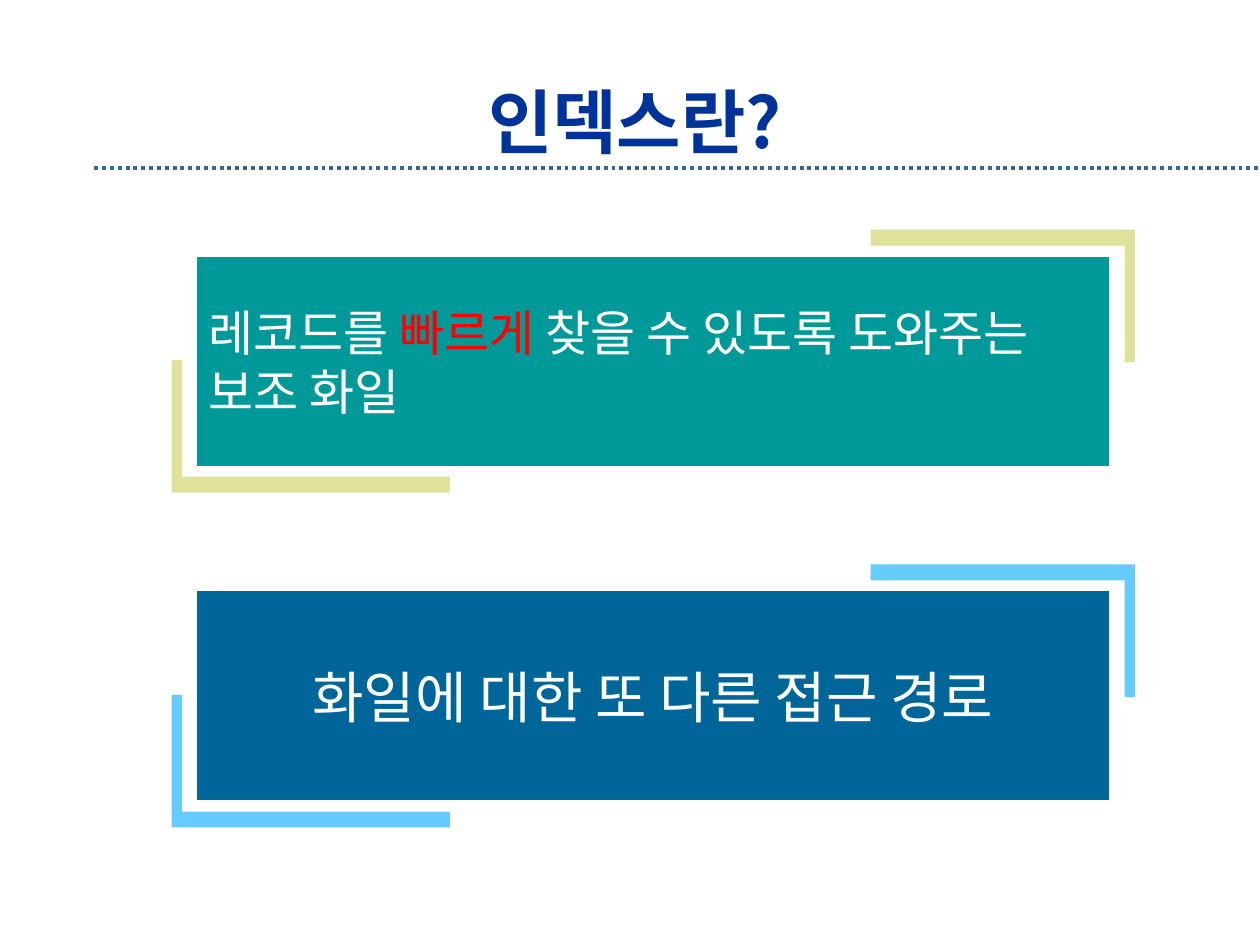
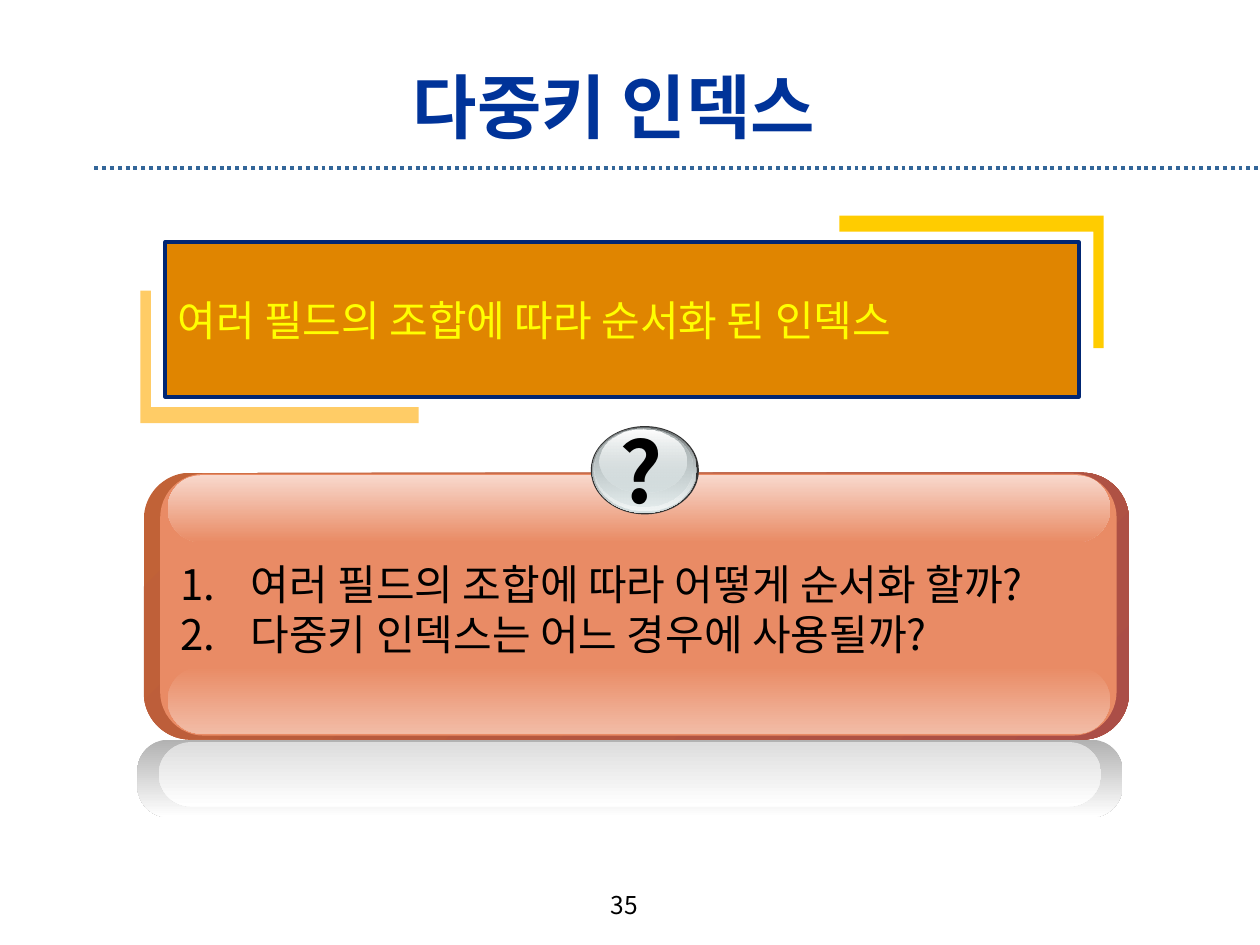
from lxml.etree import SubElement
from pptx import Presentation
from pptx.dml.color import RGBColor
from pptx.enum.dml import MSO_LINE
from pptx.enum.shapes import MSO_CONNECTOR, MSO_SHAPE as Preset
from pptx.enum.text import MSO_ANCHOR as Anchor, MSO_AUTO_SIZE as AutoSize, PP_ALIGN as Align
from pptx.oxml.ns import qn
from pptx.util import Cm, Pt

FONT = "Noto Sans CJK KR"
TITLE_COLOR = "003399"
RULE_COLOR = "336699"
WHITE = "FFFFFF"
BLACK = "000000"
BOX_WIDTH = 18.42
GAP_X, GAP_Y = 0.5, 0.53
BRACKET_HEIGHT = 2.67
BAR_X, BAR_Y = 0.21, 0.32
LOWER_WIDTH, UPPER_WIDTH = 5.61, 5.33
GLOSS_WIDTH = 19
LIST_INDENT = 1.42


def color(code):
    return RGBColor.from_string(code)


def add_run(para, text, size, code, bold=False):
    span = para.add_run()
    span.text = text
    span.font.name = FONT
    span.font.size = Pt(size)
    span.font.bold = bold
    span.font.color.rgb = color(code)
    SubElement(span._r.get_or_add_rPr(), qn("a:ea"), typeface=FONT)


def place(shape, left, top, width, height):
    shape.left, shape.top = Cm(left), Cm(top)
    shape.width, shape.height = Cm(width), Cm(height)


def add_title(page, text, at):
    title = page.shapes.title
    place(title, *at)
    frame = title.text_frame
    frame.auto_size = AutoSize.NONE
    frame.vertical_anchor = Anchor.MIDDLE
    para = frame.paragraphs[0]
    para.alignment = Align.CENTER
    add_run(para, text, 40, TITLE_COLOR, True)


def add_rule(page):
    rule = page.shapes.add_connector(
        MSO_CONNECTOR.STRAIGHT, Cm(1.9), Cm(3.38), Cm(25.4), Cm(3.38))
    rule.line.color.rgb = color(RULE_COLOR)
    rule.line.width = Pt(2.25)
    rule.line.dash_style = MSO_LINE.ROUND_DOT
    SubElement(rule.element.spPr, qn("a:effectLst"))


def start_page(deck, layout, title, title_at):
    page = deck.slides.add_slide(deck.slide_layouts[layout])
    add_rule(page)
    add_title(page, title, title_at)
    return page


def add_solid(page, preset, at, fill, adjust=None):
    shape = page.shapes.add_shape(preset, *map(Cm, at))
    shape.shadow.inherit = False
    shape.line.fill.background()
    shape.fill.solid()
    shape.fill.fore_color.rgb = color(fill)
    if adjust is not None:
        shape.adjustments[0] = adjust
    return shape


def add_gradient(page, preset, at, stops, adjust=None, angle=90, alphas=(100, 100)):
    shape = add_solid(page, preset, at, stops[0], adjust)
    shape.fill.gradient()
    shape.fill.gradient_angle = 360 - angle
    for stop, code in zip(shape.fill.gradient_stops, stops):
        stop.color.rgb = color(code)
    for mark, alpha in zip(shape.element.iter(qn("a:gs")), alphas):
        if alpha < 100:
            SubElement(mark[0], qn("a:alpha"), val=str(alpha * 1000))


def add_bracket(page, x, y, width, side, fill):
    steps = [(width, 0), (width, BAR_Y), (BAR_X, BAR_Y),
             (BAR_X, BRACKET_HEIGHT), (0, BRACKET_HEIGHT)]
    builder = page.shapes.build_freeform(Cm(x), Cm(y))
    builder.add_line_segments(
        [(Cm(x + side * dx), Cm(y + side * dy)) for dx, dy in steps]
        if side < 0 and width == UPPER_WIDTH else
        [(Cm(x + dx), Cm(y - dy)) for dx, dy in steps])
    bracket = builder.convert_to_shape()
    bracket.shadow.inherit = False
    bracket.fill.solid()
    bracket.fill.fore_color.rgb = color(fill)
    bracket.line.fill.background()


def add_corner(page, x, y, width, across, down, fill):
    steps = [(width, 0), (width, BAR_Y), (BAR_X, BAR_Y),
             (BAR_X, BRACKET_HEIGHT), (0, BRACKET_HEIGHT)]
    builder = page.shapes.build_freeform(Cm(x), Cm(y))
    builder.add_line_segments(
        [(Cm(x + across * dx), Cm(y + down * dy)) for dx, dy in steps])
    corner = builder.convert_to_shape()
    corner.shadow.inherit = False
    corner.fill.solid()
    corner.fill.fore_color.rgb = color(fill)
    corner.line.fill.background()


def add_framed_box(page, left, top, height, fill, lower, upper, runs, size,
                   border=WHITE, border_width=0.75, align=Align.LEFT):
    add_corner(page, left - GAP_X, top + height + GAP_Y, LOWER_WIDTH, 1, -1, lower)
    add_corner(page, left + BOX_WIDTH + GAP_X, top - GAP_Y, UPPER_WIDTH, -1, 1, upper)
    box = add_solid(page, Preset.RECTANGLE, (left, top, BOX_WIDTH, height), fill)
    box.line.color.rgb = color(border)
    box.line.width = Pt(border_width)
    frame = box.text_frame
    frame.word_wrap = True
    frame.vertical_anchor = Anchor.MIDDLE
    para = frame.paragraphs[0]
    para.alignment = align
    for text, code in runs:
        add_run(para, text, size, code)


def add_label(page, text, at, size, bold=False, align=Align.LEFT, wrap=True):
    label = page.shapes.add_textbox(*map(Cm, at))
    label.text_frame.word_wrap = wrap
    para = label.text_frame.paragraphs[0]
    para.alignment = align
    add_run(para, text, size, BLACK, bold)


def add_numbered_list(page, items, at):
    body = page.placeholders[1]
    place(body, *at)
    body.element.getparent().append(body.element)
    frame = body.text_frame
    frame.auto_size = AutoSize.NONE
    frame.vertical_anchor = Anchor.TOP
    for index, item in enumerate(items):
        para = frame.add_paragraph() if index else frame.paragraphs[0]
        para.space_before = Pt(0)
        props = para._p.get_or_add_pPr()
        props.set("marL", str(Cm(LIST_INDENT)))
        props.set("indent", str(-Cm(LIST_INDENT)))
        SubElement(props, qn("a:buFont"), typeface=FONT)
        SubElement(props, qn("a:buAutoNum"), type="arabicPeriod")
        add_run(para, item, 24, BLACK)


def add_question_panel(page, items):
    rounded = Preset.ROUNDED_RECTANGLE
    add_gradient(page, rounded, (2.9, 9.53, 19.86, 5.38), ("C16237", "AB4E47"), 0.175, 45)
    add_solid(page, rounded, (3.23, 9.55, 19.28, 5.28), "E98B65", 0.167)
    for top, stops in ((13.44, ("E98B65", "F2BCA6")), (9.58, ("F8D8CC", "E98B65"))):
        add_gradient(page, rounded, (3.38, top, GLOSS_WIDTH, 1.35), stops, 0.5)
    add_numbered_list(page, items, (3.38, 11.13, 18.9, 2.31))
    add_gradient(page, rounded, (2.77, 14.91, 19.86, 1.57), ("B2B2B2", WHITE), 0.404)
    add_gradient(page, rounded, (3.2, 14.96, GLOSS_WIDTH, 1.3), ("DDDDDD", WHITE), 0.5)


def add_question_button(page):
    add_solid(page, Preset.OVAL, (11.91, 8.59, 2.18, 1.78), "333333")
    layers = [
        ((11.94, 8.61, 2.11, 1.73), ("636869", "D6E1E2"), (100, 100)),
        ((11.96, 8.61, 2.06, 1.68), ("D6E1E2", "F1F5F5"), (0, 100)),
        ((11.99, 8.64, 1.96, 1.57), ("AAB2B3", "D6E1E2"), (100, 48)),
        ((12.09, 8.66, 1.75, 1.27), (WHITE, "D6E1E2"), (100, 38)),
    ]
    for at, stops, alphas in layers:
        add_gradient(page, Preset.OVAL, at, stops, alphas=alphas)
    add_label(page, "?", (12.24, 8.33, 1.47, 2.31), 48, bold=True, wrap=False)


def build_index_page(deck):
    page = start_page(deck, 5, "인덱스란?", (1.9, 1.7, 21.8, 1.47))
    add_framed_box(page, 3.96, 11.91, 4.24, "006699", "66CCFF", "66CCFF",
                   [("화일에 대한 또 다른 접근 경로", WHITE)], 32, align=Align.CENTER)
    add_framed_box(page, 3.96, 5.16, 4.24, "009999", "DFE29A", "DFE29A",
                   [("레코드를 ", WHITE), ("빠르게", "FF0000"),
                    (" 찾을 수 있도록 도와주는 보조 화일", WHITE)], 28)


def build_multikey_page(deck):
    page = start_page(deck, 1, "다중키 인덱스", (1.9, 1.27, 20.95, 1.7))
    add_label(page, "35", (10.36, 17.81, 4.45, 0.91), 14, align=Align.CENTER)
    add_framed_box(page, 3.33, 4.88, 3.12, "E08500", "FFCC66", "FFCC00",
                   [("여러 필드의 조합에 따라 순서화 된 인덱스", "FFFF00")], 24,
                   border="002673", border_width=2)
    add_question_panel(page, ["여러 필드의 조합에 따라 어떻게 순서화 할까?",
                              "다중키 인덱스는 어느 경우에 사용될까?"])
    add_question_button(page)


def main():
    deck = Presentation()
    deck.slide_width, deck.slide_height = Cm(25.4), Cm(19.05)
    build_index_page(deck)
    build_multikey_page(deck)
    deck.save("out.pptx")


if __name__ == "__main__":
    main()
